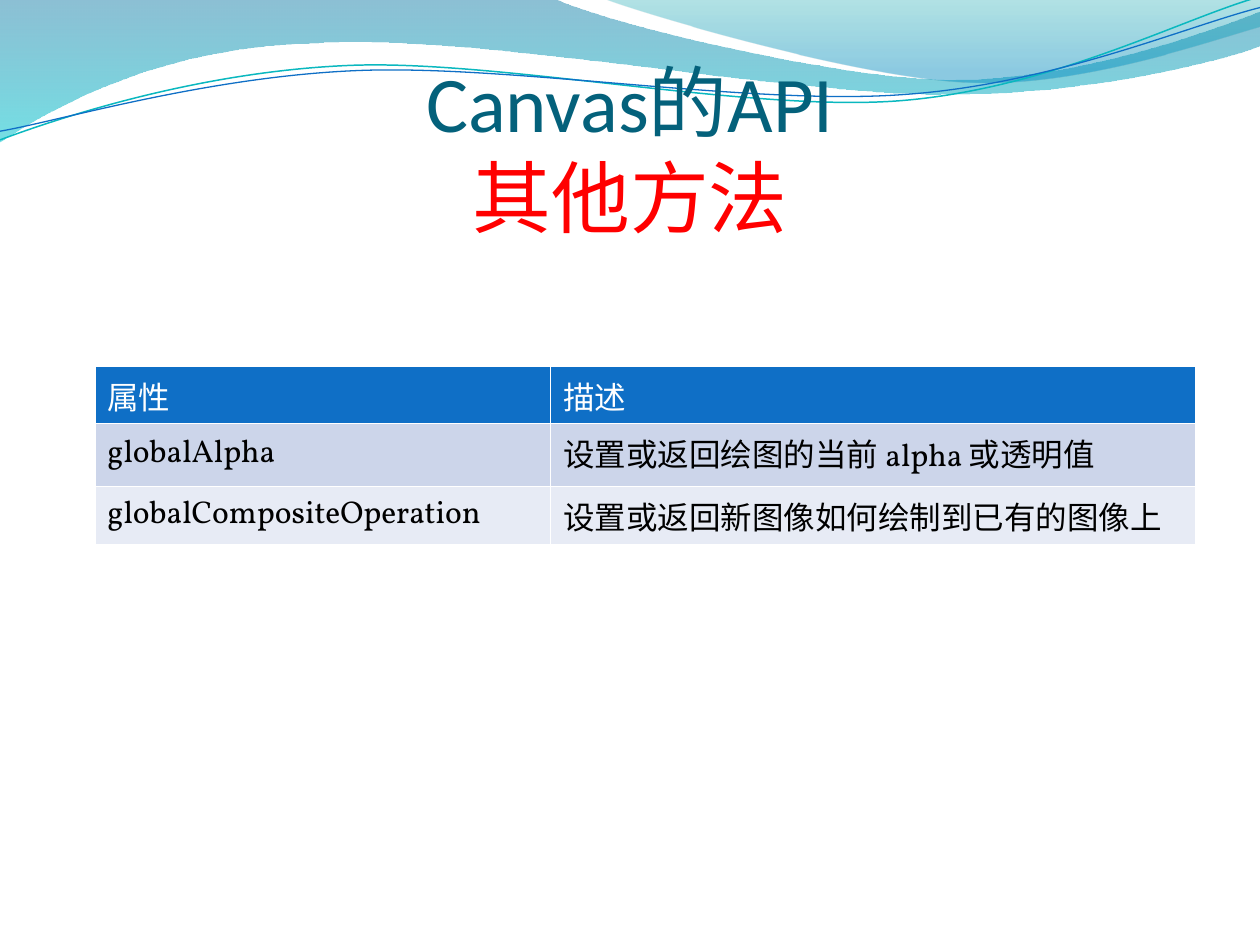
from lxml import etree
from pptx import Presentation
from pptx.dml.color import RGBColor
from pptx.enum.text import MSO_ANCHOR, PP_ALIGN
from pptx.oxml.ns import qn
from pptx.util import Pt

COLORS = {
    "deep": "0074A1", "aqua": "00C6CF", "teal": "00A1A9", "sky": "008BBF",
    "cyan": "0AB8BF", "blue": "0F6FC6", "title": "04617B", "accent": "FF0000",
    "band_dark": "CCD5EA", "band_light": "E7EBF5", "white": "FFFFFF", "black": "000000",
}
C = {name: RGBColor.from_string(value) for name, value in COLORS.items()}


def add_path(shapes, start, segments, close):
    """Draw lines (x, y) and cubic curves (x1, y1, x2, y2, x, y), in points."""
    points = [(Pt(x), Pt(y)) for seg in segments for x, y in zip(seg[::2], seg[1::2])]
    builder = shapes.build_freeform(Pt(start[0]), Pt(start[1]))
    builder.add_line_segments(points, close=close)
    s = builder.convert_to_shape()
    s.shadow.inherit = False
    # Join each run of three points into one cubic curve
    lines = iter(list(s._element.spPr.iter(qn("a:lnTo"))))
    for seg in segments:
        first = next(lines)
        if len(seg) == 6:
            curve = etree.Element(qn("a:cubicBezTo"))
            first.addprevious(curve)
            for line in (first, next(lines), next(lines)):
                curve.append(line[0])
                line.getparent().remove(line)
    return s


def add_run(p, text, color, fmt):
    r = p.add_run()
    r.text = text
    r.font.color.rgb = C[color]
    for name, value in fmt.items():
        setattr(r.font, name, value)


prs = Presentation()
prs.slide_width, prs.slide_height = Pt(720), Pt(540)
slide = prs.slides.add_slide(prs.slide_layouts[6])

# Translucent waves: start, segments, gradient stops (position, colour, opacity %)
waves = [
    ((0, 0),
     [(316.8, -0.7), (342.7, 12.2, 478.1, 45.4, 545.8, 45.4),
      (614.2, 45.4, 689.8, 18.7, 720, 6.5), (720.7, 25.9),
      (707.8, 31.7, 626.4, 54.7, 537.1, 54), (447.8, 54, 275, 20.2, 185, 24.5),
      (92.9, 25.9, 33.1, 59.8, -0.7, 81.4)],
     [(0, "deep", 45), (1, "aqua", 55)]),
    ((344.9, -0.7),
     [(366.5, 7.9, 491, 44.6, 553.7, 46.8),
      (616.3, 49.7, 691.9, 23, 720, 15.1), (720, 0)],
     [(0, "teal", 30), (0.8, "sky", 45)]),
]
for start, segments, stops in waves:
    s = add_path(slide.shapes, start, segments, True)
    s.line.fill.background()
    s.fill.gradient()
    s.fill.gradient_angle = 270
    for stop, (position, color, _) in zip(s.fill.gradient_stops, stops):
        stop.position = position
        stop.color.rgb = C[color]
    for clr, (_, _, opacity) in zip(s._element.spPr.iter(qn("a:srgbClr")), stops):
        etree.SubElement(clr, qn("a:alpha")).set("val", str(opacity * 1000))

# Thin curves over the waves, grouped and slightly turned
curves = [
    ((-1.4, 63), [(33.8, 51.7, 114.1, 29.4, 199.8, 29.9),
                  (284.8, 30.3, 425.8, 67.3, 512.4, 64.9),
                  (599, 62.4, 676.5, 25.7, 720.2, 15.5)], "cyan", 0.85),
    ((-1.1, 58), [(32.9, 53.8, 118.3, 32.5, 204.1, 33),
                  (290.6, 33.4, 428.9, 63.8, 515.5, 61.4),
                  (601.3, 59.6, 678.4, 30.1, 721.4, 21.3)], "blue", 0.75),
]
group = slide.shapes.add_group_shape()
for start, segments, color, width in curves:
    s = add_path(group.shapes, start, segments, False)
    s.rotation = 357.3
    s.fill.background()
    s.line.color.rgb = C[color]
    s.line.width = Pt(width)

# Title
tf = slide.shapes.add_textbox(Pt(36), Pt(54.7), Pt(648), Pt(84.2)).text_frame
frame_format = {"word_wrap": True, "vertical_anchor": MSO_ANCHOR.BOTTOM, "margin_left": 0,
                "margin_right": 0, "margin_top": Pt(3.6), "margin_bottom": 0}
for name, value in frame_format.items():
    setattr(tf, name, value)
p = tf.paragraphs[0]
p.alignment = PP_ALIGN.CENTER
title_font = {"size": Pt(45), "name": "Calibri"}
add_run(p, "Canvas的API", "title", title_font)
p.add_line_break()
add_run(p, "其他方法", "accent", title_font)

# Table of properties; the default table style supplies the white rules
rows = [
    ("属性", "描述"),
    ("globalAlpha", "设置或返回绘图的当前 alpha 或透明值"),
    ("globalCompositeOperation", "设置或返回新图像如何绘制到已有的图像上"),
]
row_styles = [("blue", "white", 32.6), ("band_dark", "black", 36), ("band_light", "black", 33.2)]
table = slide.shapes.add_table(3, 2, Pt(54.2), Pt(209.3), Pt(629), Pt(101.8)).table
for column, width in zip(table.columns, (260.5, 368.5)):
    column.width = Pt(width)
for row, texts, (fill, color, height) in zip(table.rows, rows, row_styles):
    row.height = Pt(height)
    for cell, text in zip(row.cells, texts):
        cell.fill.solid()
        cell.fill.fore_color.rgb = C[fill]
        cell.vertical_anchor = MSO_ANCHOR.MIDDLE
        add_run(cell.text_frame.paragraphs[0], text, color,
                {"size": Pt(18), "name": "Vollkorn", "bold": False})

prs.save("out.pptx")
